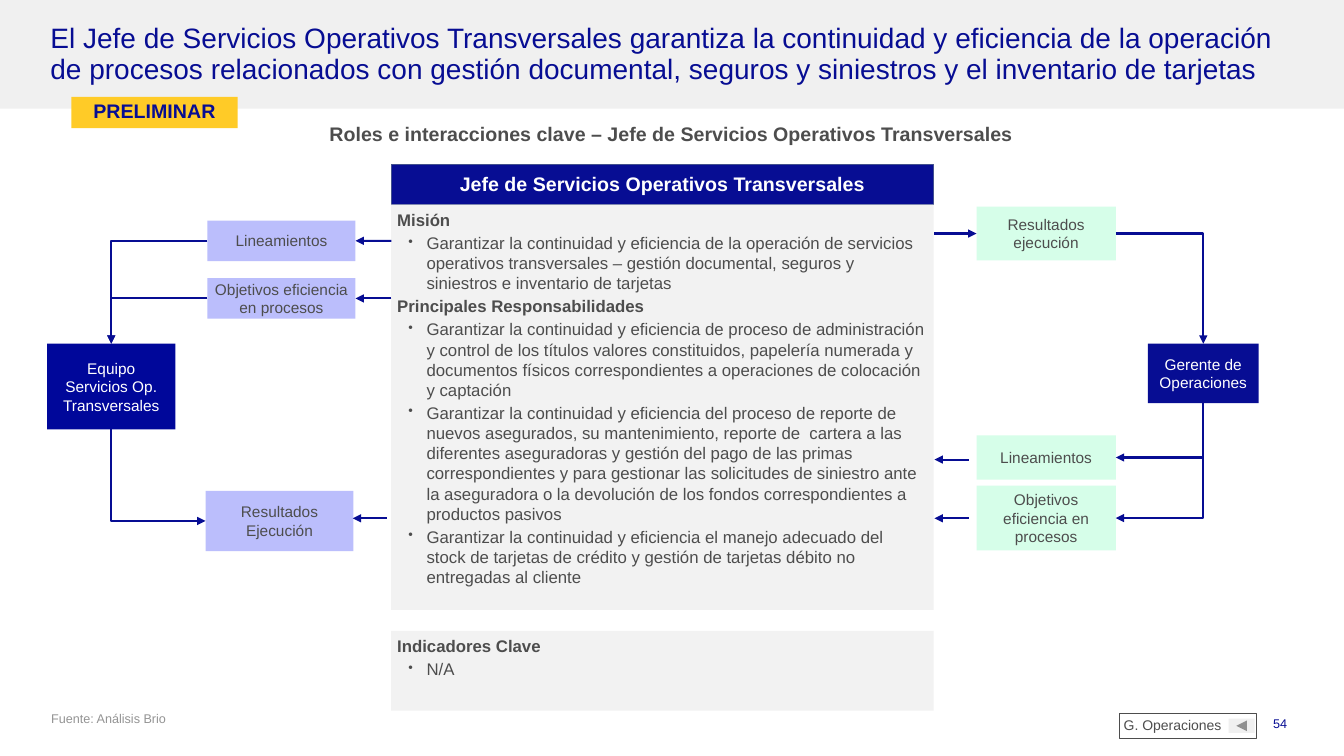
from dataclasses import dataclass

from lxml.etree import SubElement
from pptx import Presentation
from pptx.dml.color import RGBColor
from pptx.enum.shapes import MSO_CONNECTOR, MSO_SHAPE
from pptx.enum.text import MSO_ANCHOR, MSO_AUTO_SIZE, PP_ALIGN
from pptx.oxml.ns import qn
from pptx.util import Cm, Pt


@dataclass(frozen=True)
class Theme:
    font: str = "Arial"
    navy: str = "070D93"
    team_blue: str = "00079A"
    header_edge: str = "42508E"
    lilac: str = "BBBEFC"
    mint: str = "D6FEE9"
    band: str = "F0F0F0"
    panel: str = "F2F2F2"
    yellow: str = "FFCB27"
    grey: str = "4D4D4D"
    pale_grey: str = "949494"
    white: str = "FFFFFF"
    title: int = 20
    heading: int = 14
    body: int = 12
    label: int = 11
    nav: int = 10
    small: int = 9


@dataclass(frozen=True)
class Box:
    """Left, top, width and height in centimetres."""
    left: float
    top: float
    width: float
    height: float

    def inner(self, left, top, width, height):
        return Box(self.left + left, self.top + top, width, height)

    def lengths(self):
        return [Cm(v) for v in (self.left, self.top, self.width, self.height)]


THEME = Theme()
DEFAULT_INSETS = (0.25, 0.13)
PANEL_INSETS = (0.15, 0.13)
TIGHT_INSETS = (0.1, 0.13)
TOP, LEFT, BOTTOM, RIGHT = range(4)


def rgb(colour):
    return RGBColor.from_string(colour)


def style(paragraph, size, colour, bold=False, align=PP_ALIGN.LEFT, spacing=None):
    paragraph.font.name, paragraph.font.size = THEME.font, Pt(size)
    paragraph.font.bold, paragraph.font.color.rgb = bold, rgb(colour)
    paragraph.alignment = align
    if spacing:
        paragraph.line_spacing = spacing


def set_frame(frame, insets=DEFAULT_INSETS, anchor=MSO_ANCHOR.TOP):
    frame.word_wrap, frame.auto_size = True, MSO_AUTO_SIZE.NONE
    frame.vertical_anchor = anchor
    frame.margin_left = frame.margin_right = Cm(insets[0])
    frame.margin_top = frame.margin_bottom = Cm(insets[1])


def add_block(slide, box, fill=None, edge=None, edge_width=0.5, kind=MSO_SHAPE.RECTANGLE):
    block = slide.shapes.add_shape(kind, *box.lengths())
    block.shadow.inherit = False
    if fill:
        block.fill.solid()
        block.fill.fore_color.rgb = rgb(fill)
    else:
        block.fill.background()
    if edge:
        block.line.color.rgb, block.line.width = rgb(edge), Pt(edge_width)
    else:
        block.line.fill.background()
    return block


def write(shape, text, size, colour, insets=DEFAULT_INSETS, anchor=MSO_ANCHOR.MIDDLE, **look):
    set_frame(shape.text_frame, insets, anchor)
    shape.text_frame.text = text
    style(shape.text_frame.paragraphs[0], size, colour, **look)
    return shape


def add_note(slide, box, text, size, colour, insets=DEFAULT_INSETS, **look):
    write(slide.shapes.add_textbox(*box.lengths()), text, size, colour,
          insets, MSO_ANCHOR.TOP, **look)


def add_arrow(slide, start, end, kind=MSO_CONNECTOR.STRAIGHT, arrow_end="tailEnd"):
    arrow = slide.shapes.add_connector(kind, *[Cm(v) for v in (*start, *end)])
    arrow.line.color.rgb, arrow.line.width = rgb(THEME.navy), Pt(1.5)
    SubElement(arrow.line._get_or_add_ln(), qn(f"a:{arrow_end}"), type="triangle")
    SubElement(arrow._element.spPr, qn("a:effectLst"))
    return arrow


def add_sections(slide, box, sections):
    """Panel of bold headings, each followed by its bullets."""
    frame = add_block(slide, box, THEME.panel).text_frame
    set_frame(frame, PANEL_INSETS)
    lines = [(text, text == heading) for heading, bullets in sections
             for text in (heading, *bullets)]
    for index, (text, is_heading) in enumerate(lines):
        paragraph = frame.add_paragraph() if index else frame.paragraphs[0]
        paragraph.text = text
        style(paragraph, THEME.body, THEME.grey, bold=is_heading)
        paragraph.space_after = Pt(2)
        if not is_heading:
            props = paragraph._p.get_or_add_pPr()
            props.set("marL", str(Cm(0.74)))
            props.set("indent", str(-Cm(0.46)))
            colour = SubElement(props, qn("a:buClr"))
            SubElement(colour, qn("a:srgbClr"), val=THEME.grey)
            SubElement(props, qn("a:buSzPct"), val="80000")
            SubElement(props, qn("a:buChar"), char="•")


def add_role(slide, box, text, fill):
    return write(add_block(slide, box, fill), text, THEME.label, THEME.white,
                 align=PP_ALIGN.CENTER)


def add_interaction(slide, box, text, fill, role, outer, panel_x, reply_y=None):
    """Label between panel and role; with reply_y the flow comes from the role."""
    label = write(add_block(slide, box, fill), text, THEME.label, THEME.grey,
                  PANEL_INSETS, align=PP_ALIGN.CENTER)
    to_role = reply_y is None
    mid_y = box.top + box.height / 2
    outer_x = box.left + (box.width if outer == RIGHT else 0)
    role_x = (role.left + role.width / 2) / Cm(1)
    role_y = (role.top + (0 if to_role else role.height)) / Cm(1)
    elbow = add_arrow(slide, (outer_x, mid_y), (role_x, role_y), MSO_CONNECTOR.ELBOW,
                      "tailEnd" if to_role else "headEnd")
    elbow._element.spPr.find(qn("a:prstGeom")).set("prst", "bentConnector2")
    elbow.begin_connect(label, outer)
    elbow.end_connect(role, TOP if to_role else BOTTOM)
    if to_role:
        inner_x = box.left + (box.width if outer == LEFT else 0)
        link = add_arrow(slide, (panel_x, mid_y), (inner_x, mid_y))
        link.end_connect(label, RIGHT if outer == LEFT else LEFT)
    else:
        add_arrow(slide, (panel_x, reply_y), (panel_x - 0.86, reply_y))


def add_heading(slide, box):
    add_block(slide, box, THEME.band)
    title = slide.shapes.title
    title.left, title.top, title.width, title.height = box.inner(1.17, 0.51, 31.5, 1.75).lengths()
    write(title, "El Jefe de Servicios Operativos Transversales garantiza la continuidad y "
          "eficiencia de la operación de procesos relacionados con gestión documental, "
          "seguros y siniestros y el inventario de tarjetas",
          THEME.title, THEME.navy, TIGHT_INSETS, spacing=0.9)
    slide.shapes._spTree.append(title._element)
    add_note(slide, box.inner(1.17, 3, 31.5, 0.79),
             "Roles e interacciones clave – Jefe de Servicios Operativos Transversales",
             THEME.heading, THEME.grey, bold=True, align=PP_ALIGN.CENTER, spacing=0.9)
    write(add_block(slide, box.inner(1.8, 2.44, 4.19, 0.79), THEME.yellow), "PRELIMINAR",
          THEME.heading, THEME.navy, TIGHT_INSETS, bold=True, align=PP_ALIGN.CENTER, spacing=0.9)


def add_position(slide, box):
    header = add_block(slide, box.inner(0, 0, box.width, 1), THEME.navy, THEME.header_edge)
    write(header, "Jefe de Servicios Operativos Transversales", THEME.heading, THEME.white,
          bold=True, align=PP_ALIGN.CENTER)
    add_sections(slide, box.inner(0, 1.02, box.width, 10.21), [
        ("Misión", ["Garantizar la continuidad y eficiencia de la operación de servicios operativos transversales – gestión documental, seguros y siniestros e inventario de tarjetas"]),
        ("Principales Responsabilidades", [
            "Garantizar la continuidad y eficiencia de proceso de administración y control de los títulos valores constituidos, papelería numerada y documentos físicos correspondientes a operaciones de colocación y captación",
            "Garantizar la continuidad y eficiencia del proceso de reporte de nuevos asegurados, su mantenimiento, reporte de  cartera a las diferentes aseguradoras y gestión del pago de las primas correspondientes y para gestionar las solicitudes de siniestro ante la aseguradora o la devolución de los fondos correspondientes a productos pasivos",
            "Garantizar la continuidad y eficiencia el manejo adecuado del stock de tarjetas de crédito y gestión de tarjetas débito no entregadas al cliente"])])
    add_sections(slide, box.inner(0, 11.76, box.width, 2.01), [("Indicadores Clave", ["N/A"])])


def add_team_side(slide, box):
    team = add_role(slide, box.inner(0, 3.1, 3.23, 2.16),
                    "Equipo Servicios Op. Transversales", THEME.team_blue)
    for left, top, height, text, panel_gap, reply_y in [
            (4.04, 0, 1.02, "Lineamientos", 0, None),
            (4.04, 1.45, 1.02, "Objetivos eficiencia en procesos", 0, None),
            (3.99, 6.81, 1.52, "Resultados Ejecución", 0.11, box.top + 7.5)]:
        add_interaction(slide, box.inner(left, top, 3.73, height), text, THEME.lilac,
                        team, LEFT, box.left + box.width - panel_gap, reply_y)


def add_manager_side(slide, box):
    manager = add_role(slide, box.inner(5.38, 3.45, 2.79, 1.5),
                       "Gerente de Operaciones", THEME.navy)
    for top, height, text, panel_gap, reply_y in [
            (0, 1.35, "Resultados ejecución", 0, None),
            (5.76, 1.12, "Lineamientos", 0.86, box.top + 6.37),
            (7.03, 1.63, "Objetivos eficiencia en procesos", 0.86, box.top + 7.85)]:
        add_interaction(slide, box.inner(1.06, top, 3.51, height), text, THEME.mint,
                        manager, RIGHT, box.left + panel_gap, reply_y)


def add_footer(slide, box):
    add_note(slide, box.inner(0, 0, 26, 1), "Fuente: Análisis Brio",
             THEME.small, THEME.pale_grey, (0.1, 0))
    button = add_block(slide, box.inner(29.77, 0.2, 0.66, 0.36), THEME.band,
                       kind=MSO_SHAPE.ACTION_BUTTON_FORWARD_OR_NEXT)
    button.rotation = 180
    write(add_block(slide, box.inner(27.03, 0.07, 3.45, 0.64), edge=THEME.grey, edge_width=0.75),
          "G. Operaciones", THEME.nav, THEME.grey, TIGHT_INSETS, spacing=0.9)
    add_note(slide, box.inner(28.68, 0, 2.82, 1), "54", THEME.small, THEME.navy,
             align=PP_ALIGN.RIGHT)


def main():
    deck = Presentation()
    deck.slide_width, deck.slide_height = Cm(33.87), Cm(19.05)
    slide = deck.slides.add_slide(deck.slide_layouts[5])
    add_heading(slide, Box(0, 0, 33.87, 2.74))
    add_position(slide, Box(9.86, 4.14, 13.67, 13.77))
    add_team_side(slide, Box(1.19, 5.56, 8.67, 8.33))
    add_manager_side(slide, Box(23.55, 5.21, 8.17, 8.66))
    add_footer(slide, Box(1.19, 17.91, 31.5, 1))
    deck.save("out.pptx")


if __name__ == "__main__":
    main()
